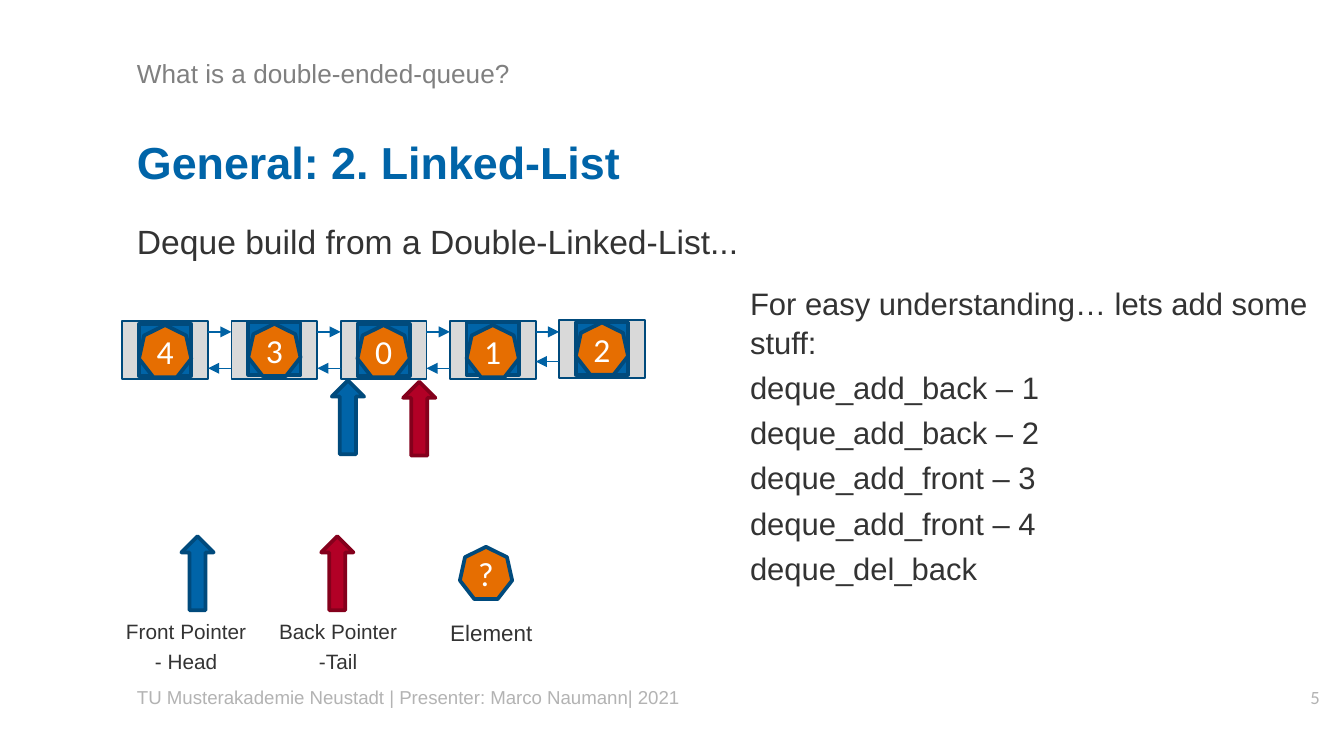
from lxml import etree
from pptx import Presentation
from pptx.dml.color import RGBColor
from pptx.enum import shapes, text
from pptx.oxml import ns
from pptx.util import Pt

BLUE, NAVY, LINK = "0064A8", "004A7C", "0062A4"
RED, DARK_RED, ORANGE = "B20026", "84001C", "E66E01"
LIGHT, DARK, GRAY, PALE = "D9D9D9", "333333", "808080", "B3B3B3"

LEFT = 73.4
CELL_LEFT, CELL_PITCH, CELL_WIDTH, CELL_HEIGHT = 65.5, 58.5, 46, 31
ELEMENT_SIZE = 28
FORWARD_Y = 177.8

# Label, cell top, square top, element top, height of the link back to the left
NODES = [
    ("4", 172, 173.5, 174.2, None),
    ("3", 172, 172.8, 173.5, 197.3),
    ("0", 172, 173.5, 174.2, 197.3),
    ("1", 172, 172.8, 174.2, 197.3),
    ("2", 171.4, 172.8, 172.8, 193.7),
]
STEPS = [
    "For easy understanding… lets add some stuff:",
    "deque_add_back – 1",
    "deque_add_back – 2",
    "deque_add_front – 3",
    "deque_add_front – 4",
    "deque_del_back",
]


def color(value):
    return RGBColor.from_string(value)


def fill_text(frame, lines, size, hue, font="Arial", bold=False,
              align=text.PP_ALIGN.LEFT, anchor=text.MSO_ANCHOR.TOP, spacing=None):
    frame.word_wrap = True
    frame.vertical_anchor = anchor
    frame.margin_left = frame.margin_right = Pt(0)
    frame.margin_top = frame.margin_bottom = Pt(0)
    for index, line in enumerate(lines):
        paragraph = frame.paragraphs[0] if index == 0 else frame.add_paragraph()
        paragraph.alignment = align
        if spacing:
            paragraph.line_spacing = spacing
            paragraph.space_before = Pt(0.2 * size)
        run = paragraph.add_run()
        run.text = line
        run.font.size = Pt(size)
        run.font.name = font
        run.font.bold = bold
        run.font.color.rgb = color(hue)


def add_text(slide, left, top, width, height, lines, size, hue, **style):
    box = slide.shapes.add_textbox(Pt(left), Pt(top), Pt(width), Pt(height))
    fill_text(box.text_frame, lines, size, hue, **style)


def add_block(slide, kind, left, top, width, height, fill, line, weight=2):
    shape = slide.shapes.add_shape(kind, Pt(left), Pt(top), Pt(width), Pt(height))
    shape.shadow.inherit = False
    shape.fill.solid()
    shape.fill.fore_color.rgb = color(fill)
    shape.line.color.rgb = color(line)
    shape.line.width = Pt(weight)
    return shape


def add_element(slide, left, top, label):
    shape = add_block(slide, shapes.MSO_SHAPE.HEPTAGON, left, top,
                      ELEMENT_SIZE, ELEMENT_SIZE, ORANGE, NAVY)
    fill_text(shape.text_frame, [label], 18, "FFFFFF", font="Calibri",
              align=text.PP_ALIGN.CENTER, anchor=text.MSO_ANCHOR.MIDDLE)


def add_pointer(slide, left, top, fill, line):
    add_block(slide, shapes.MSO_SHAPE.UP_ARROW, left, top, 17.3, 39.6, fill, line)


def add_link(slide, start, end, y):
    link = slide.shapes.add_connector(shapes.MSO_CONNECTOR.STRAIGHT,
                                      Pt(start), Pt(y), Pt(end), Pt(y))
    link.line.color.rgb = color(LINK)
    link.line.width = Pt(0.75)
    etree.SubElement(link.line._get_or_add_ln(), ns.qn("a:tailEnd"), type="triangle")
    etree.SubElement(link._element.spPr, ns.qn("a:effectLst"))


def add_node(slide, left, label, cell_top, square_top, element_top):
    rectangle = shapes.MSO_SHAPE.RECTANGLE
    add_block(slide, rectangle, left, cell_top, CELL_WIDTH, CELL_HEIGHT, LIGHT, NAVY, 1)
    add_block(slide, rectangle, left + 9, square_top, ELEMENT_SIZE, ELEMENT_SIZE, BLUE, NAVY)
    add_element(slide, left + 9, element_top, label)


def add_linked_list(slide):
    for index, (label, cell_top, square_top, element_top, back_y) in enumerate(NODES):
        left = CELL_LEFT + index * CELL_PITCH
        add_node(slide, left, label, cell_top, square_top, element_top)
        if back_y:
            previous_right = left - CELL_PITCH + CELL_WIDTH
            add_link(slide, previous_right, left, FORWARD_Y)
            add_link(slide, left, previous_right, back_y)
    add_pointer(slide, 177.8, 203.8, BLUE, NAVY)
    add_pointer(slide, 216, 204.5, RED, DARK_RED)


def add_legend(slide):
    add_pointer(slide, 97.2, 287.3, BLUE, NAVY)
    add_pointer(slide, 172.1, 287.3, RED, DARK_RED)
    add_element(slide, 246.4, 293, "?")
    for left, lines, size in [
        (61.9, ["Front Pointer", "- Head"], 11.1),
        (143.3, ["Back Pointer", "-Tail"], 11.1),
        (225.4, ["Element"], 12),
    ]:
        add_text(slide, left, 331, 75.6, 28, lines, size, DARK,
                 align=text.PP_ALIGN.CENTER, spacing=1.05)


def main():
    presentation = Presentation()
    presentation.slide_width, presentation.slide_height = Pt(720), Pt(405)
    slide = presentation.slides.add_slide(presentation.slide_layouts[6])

    # Headings
    add_text(slide, LEFT, 14.4, 575, 49.7, ["What is a double-ended-queue?"], 14, GRAY,
             anchor=text.MSO_ANCHOR.MIDDLE)
    add_text(slide, LEFT, 70.6, 575, 33.8, ["General: 2. Linked-List"], 24, BLUE,
             bold=True, spacing=1.05)
    add_text(slide, LEFT, 117.4, 575, 28, ["Deque build from a Double-Linked-List..."],
             18, DARK, spacing=1.05)

    # Diagram and its legend
    add_linked_list(slide)
    add_legend(slide)

    # Operations
    add_text(slide, 401.8, 151.2, 306, 162.7, STEPS, 16.6, DARK, spacing=1.05)

    # Footer
    add_text(slide, LEFT, 367.2, 575, 28,
             ["TU Musterakademie Neustadt | Presenter: Marco Naumann| 2021"], 10, PALE)
    add_text(slide, 649.4, 367.2, 57.6, 28.8, ["5"], 10, PALE, font="Calibri",
             align=text.PP_ALIGN.RIGHT)

    presentation.save("out.pptx")


if __name__ == "__main__":
    main()
